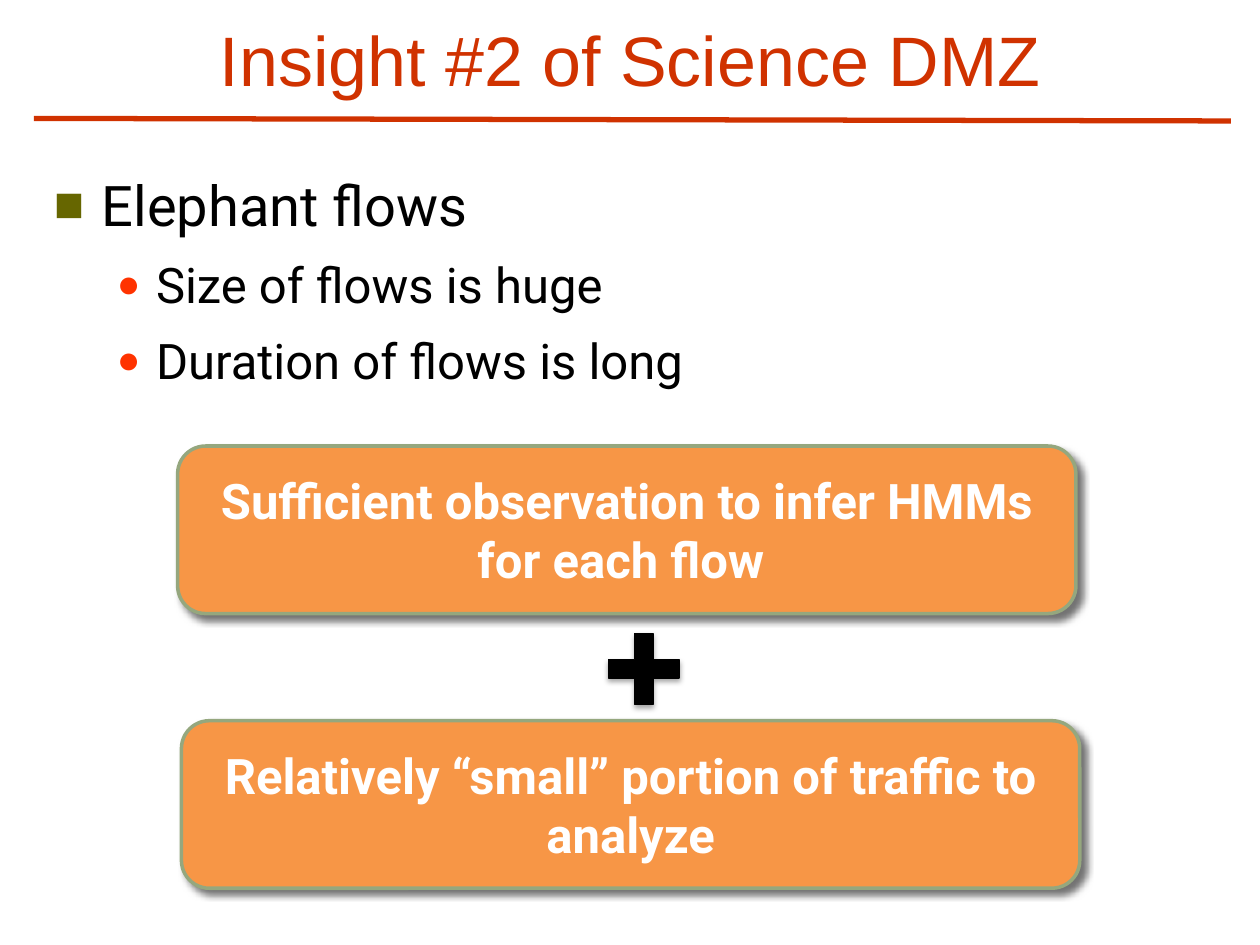
"""Build the slide on the second insight of Science DMZ."""
from lxml.etree import SubElement
from pptx import Presentation
from pptx.dml.color import RGBColor
from pptx.enum.shapes import MSO_CONNECTOR, MSO_SHAPE
from pptx.enum.text import MSO_ANCHOR, PP_ALIGN
from pptx.oxml.ns import qn
from pptx.util import Inches, Pt

THEME = {
    "title_font": "Arial", "body_font": "Roboto",
    "title_size": 40, "topic_size": 32, "text_size": 28,
    "title": "D03200", "ink": "000000", "paper": "FFFFFF",
    "topic_bullet": "666600", "point_bullet": "FF3300",
    "box": "F79646", "box_line": "95A77E",
}
TITLE = "Insight #2 of Science DMZ"
BULLETS = [
    (0, "Elephant flows"),
    (1, "Size of flows is huge"),
    (1, "Duration of flows is long"),
]
LEVELS = [
    {"size": "topic_size", "margin": 0.38, "indent": -0.38,
     "mark": "■", "colour": "topic_bullet", "scale": 90},
    {"size": "text_size", "margin": 0.81, "indent": -0.31,
     "mark": "●", "colour": "point_bullet", "scale": 80},
]
BOX_SIZE = (7.13, 1.33)
BOXES = [
    (1.41, 3.54, "Sufficient observation to infer HMMs for each flow "),
    (1.44, 5.72, "Relatively “small” portion of traffic to analyze"),
]
BOX_SHADOW = {"alpha": 55, "blur": 4, "distance": 4, "angle": 45}
PLUS_SHADOW = {"alpha": 35, "blur": 3.1, "distance": 1.8, "angle": 90}


def colour(name):
    return RGBColor.from_string(THEME[name])


def add_span(para, text, size, ink, font="body_font", bold=False):
    span = para.add_run()
    span.text = text
    span.font.name = THEME[font]
    span.font.size = Pt(THEME[size])
    span.font.bold = bold
    span.font.color.rgb = colour(ink)


def add_shadow(shape, alpha, blur, distance, angle):
    shape.shadow.inherit = False
    effects = shape.element.spPr.find(qn("a:effectLst"))
    shadow = SubElement(effects, qn("a:outerShdw"), blurRad=str(Pt(blur)),
                        dist=str(Pt(distance)), dir=str(angle * 60000),
                        algn="ctr", rotWithShape="0")
    shade = SubElement(shadow, qn("a:srgbClr"), val=THEME["ink"])
    SubElement(shade, qn("a:alpha"), val=str(alpha * 1000))


def add_filled(page, kind, place, fill, line, width, shadow):
    shape = page.shapes.add_shape(kind, *map(Inches, place))
    shape.fill.solid()
    shape.fill.fore_color.rgb = colour(fill)
    shape.line.color.rgb = colour(line)
    shape.line.width = Pt(width)
    add_shadow(shape, **shadow)
    return shape


def add_title(page):
    title = page.shapes.title
    title.left, title.top, title.width, title.height = map(
        Inches, (0, 0.22, 10, 0.63))
    title.text_frame.vertical_anchor = MSO_ANCHOR.BOTTOM
    para = title.text_frame.paragraphs[0]
    para.alignment = PP_ALIGN.CENTER
    add_span(para, TITLE, "title_size", "title", "title_font")
    rule = page.shapes.add_connector(
        MSO_CONNECTOR.STRAIGHT, *map(Inches, (0.27, 0.94, 9.77, 0.96)))
    rule.line.color.rgb = colour("title")
    rule.line.width = Pt(3)
    SubElement(rule.element.spPr, qn("a:effectLst"))


def style_bullet(para, level):
    props = para._p.get_or_add_pPr()
    props.set("marL", str(Inches(level["margin"])))
    props.set("indent", str(Inches(level["indent"])))
    before = SubElement(props, qn("a:spcBef"))
    SubElement(before, qn("a:spcPct"), val="35000")
    tint = SubElement(props, qn("a:buClr"))
    SubElement(tint, qn("a:srgbClr"), val=THEME[level["colour"]])
    SubElement(props, qn("a:buSzPct"), val=str(level["scale"] * 1000))
    SubElement(props, qn("a:buFont"), typeface=THEME["title_font"])
    SubElement(props, qn("a:buChar"), char=level["mark"])


def add_bullets(page):
    box = page.shapes.add_textbox(*map(Inches, (0.33, 1.3, 9.35, 5.62)))
    frame = box.text_frame
    frame.word_wrap = True
    for index, (depth, text) in enumerate(BULLETS):
        para = frame.add_paragraph() if index else frame.paragraphs[0]
        para.level = depth
        style_bullet(para, LEVELS[depth])
        add_span(para, text, LEVELS[depth]["size"], "ink")


def add_boxes(page):
    for left, top, text in BOXES:
        box = add_filled(page, MSO_SHAPE.ROUNDED_RECTANGLE,
                         (left, top, *BOX_SIZE), "box", "box_line", 2, BOX_SHADOW)
        box.text_frame.word_wrap = True
        box.text_frame.vertical_anchor = MSO_ANCHOR.MIDDLE
        para = box.text_frame.paragraphs[0]
        para.alignment = PP_ALIGN.CENTER
        add_span(para, text, "text_size", "paper", bold=True)
    plus = add_filled(page, MSO_SHAPE.CROSS, (4.83, 5.03, 0.56, 0.56),
                      "ink", "ink", 0.75, PLUS_SHADOW)
    plus.adjustments[0] = 0.37


def main():
    deck = Presentation()
    deck.slide_width, deck.slide_height = Inches(10), Inches(7.5)
    page = deck.slides.add_slide(deck.slide_layouts.get_by_name("Title Only"))
    page.background.fill.solid()
    page.background.fill.fore_color.rgb = colour("paper")
    add_title(page)
    add_bullets(page)
    add_boxes(page)
    deck.save("out.pptx")


if __name__ == "__main__":
    main()
